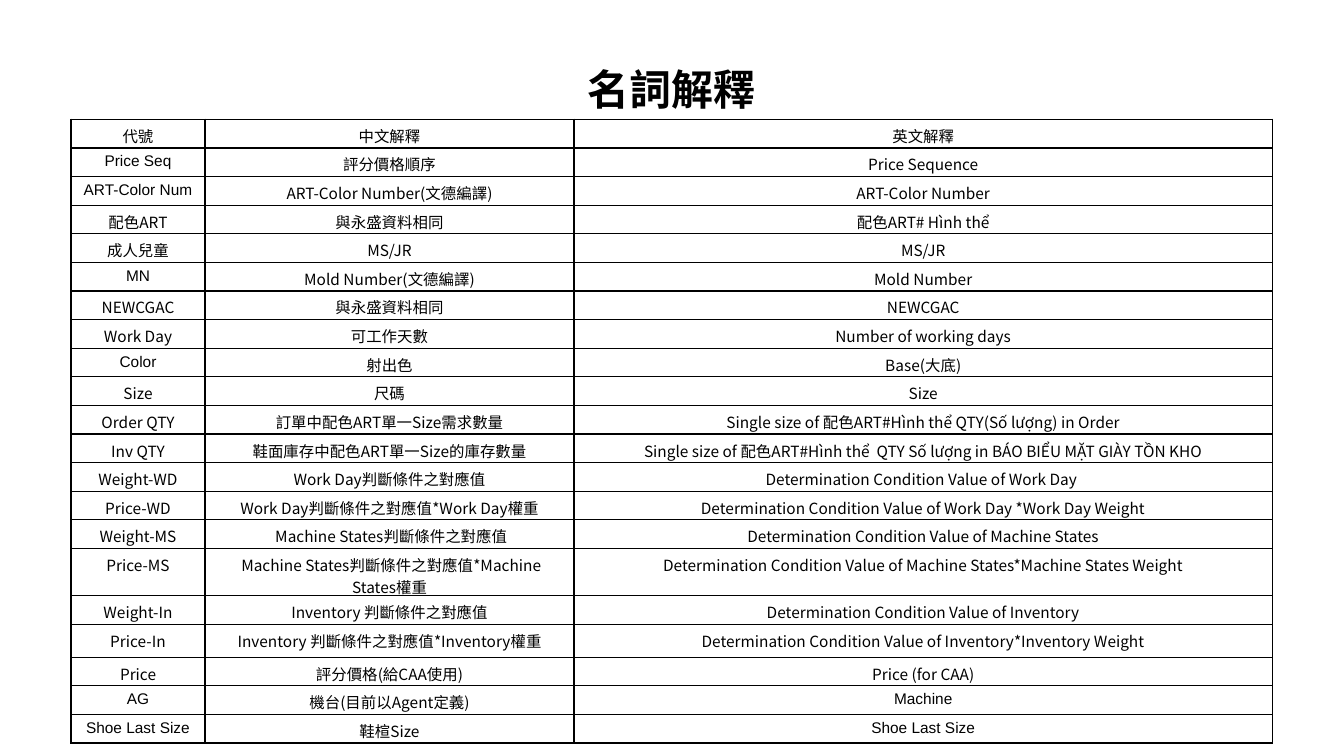
"""Build the glossary slide: a title above a three-column table of terms."""
from lxml.etree import SubElement
from pptx import Presentation
from pptx.dml.color import RGBColor
from pptx.enum.text import PP_ALIGN as AL
from pptx.oxml.ns import qn
from pptx.util import Pt

BLACK = RGBColor(0, 0, 0)
CJK = "Noto Sans CJK TC"
ARIAL = "Arial"
ARIAL_TERMS = {"Price Seq", "ART-Color Num", "MN", "Color", "AG", "Machine", "Shoe Last Size"}
TERMS = [
    ("代號", "中文解釋", "英文解釋"),
    ("Price Seq", "評分價格順序", "Price Sequence"),
    ("ART-Color Num", "ART-Color Number(文德編譯)", "ART-Color Number"),
    ("配色ART", "與永盛資料相同", "配色ART# Hình thể"),
    ("成人兒童", "MS/JR", "MS/JR"),
    ("MN", "Mold Number(文德編譯)", "Mold Number"),
    ("NEWCGAC", "與永盛資料相同", "NEWCGAC"),
    ("Work Day", "可工作天數", "Number of working days"),
    ("Color", "射出色", "Base(大底)"),
    ("Size", "尺碼", "Size"),
    ("Order QTY", "訂單中配色ART單一Size需求數量",
     "Single size of 配色ART#Hình thể QTY(Số lượng) in Order"),
    ("Inv QTY", "鞋面庫存中配色ART單一Size的庫存數量",
     "Single size of 配色ART#Hình thể  QTY Số lượng in BÁO BIỂU MẶT GIÀY TỒN KHO"),
    ("Weight-WD", "Work Day判斷條件之對應值", "Determination Condition Value of Work Day "),
    ("Price-WD", "Work Day判斷條件之對應值*Work Day權重",
     "Determination Condition Value of Work Day *Work Day Weight"),
    ("Weight-MS", " Machine States判斷條件之對應值",
     "Determination Condition Value of Machine States"),
    ("Price-MS", " Machine States判斷條件之對應值*Machine States權重",
     "Determination Condition Value of Machine States*Machine States Weight"),
    ("Weight-In", "Inventory 判斷條件之對應值", "Determination Condition Value of Inventory"),
    ("Price-In", "Inventory 判斷條件之對應值*Inventory權重",
     "Determination Condition Value of Inventory*Inventory Weight"),
    ("Price", "評分價格(給CAA使用)", "Price (for CAA)"),
    ("AG", "機台(目前以Agent定義)", "Machine"),
    ("Shoe Last Size", "鞋楦Size", "Shoe Last Size"),
]
COL_WIDTHS = [95.8, 263.5, 499]
ROW_HEIGHT = 20.45
TALL_ROWS = {"Price-MS": 33.7, "Price-In": 23.5}


def write(p, text, font, **formats):
    p.alignment = AL.CENTER
    r = p.add_run()
    r.text = text
    r.font.color.rgb = BLACK
    for name, value in {"name": font, **formats}.items():
        setattr(r.font, name, value)
    SubElement(r.font._element, qn("a:ea"), typeface=CJK)


def add_borders(cell):
    tcPr = cell._tc.get_or_add_tcPr()
    for i, side in enumerate(("a:lnL", "a:lnR", "a:lnT", "a:lnB")):
        ln = tcPr.makeelement(qn(side), {"w": str(Pt(1))})
        fill = SubElement(ln, qn("a:solidFill"))
        SubElement(fill, qn("a:srgbClr"), val=str(BLACK))
        tcPr.insert(i, ln)


prs = Presentation()
prs.slide_width, prs.slide_height = Pt(960), Pt(540)
s = prs.slides.add_slide(prs.slide_layouts[6])

title = s.shapes.add_textbox(Pt(411.8), Pt(41.8), Pt(135.4), Pt(43.9))
tf = title.text_frame
tf.word_wrap = False
write(tf.paragraphs[0], "名詞解釋", CJK, size=Pt(30), bold=True)

heights = [TALL_ROWS.get(term[0], ROW_HEIGHT) for term in TERMS]
table = s.shapes.add_table(len(TERMS), len(COL_WIDTHS), Pt(50.7), Pt(85.2),
                           Pt(sum(COL_WIDTHS)), Pt(sum(heights))).table
for col, width in zip(table.columns, COL_WIDTHS):
    col.width = Pt(width)
for row, height, term in zip(table.rows, heights, TERMS):
    row.height = Pt(height)
    for cell, text in zip(row.cells, term):
        cell.margin_top, cell.margin_bottom = Pt(3.6), Pt(0)
        cell.fill.background()
        write(cell.text_frame.paragraphs[0], text,
              ARIAL if text in ARIAL_TERMS else CJK, size=Pt(11))
        add_borders(cell)

prs.save("out.pptx")
